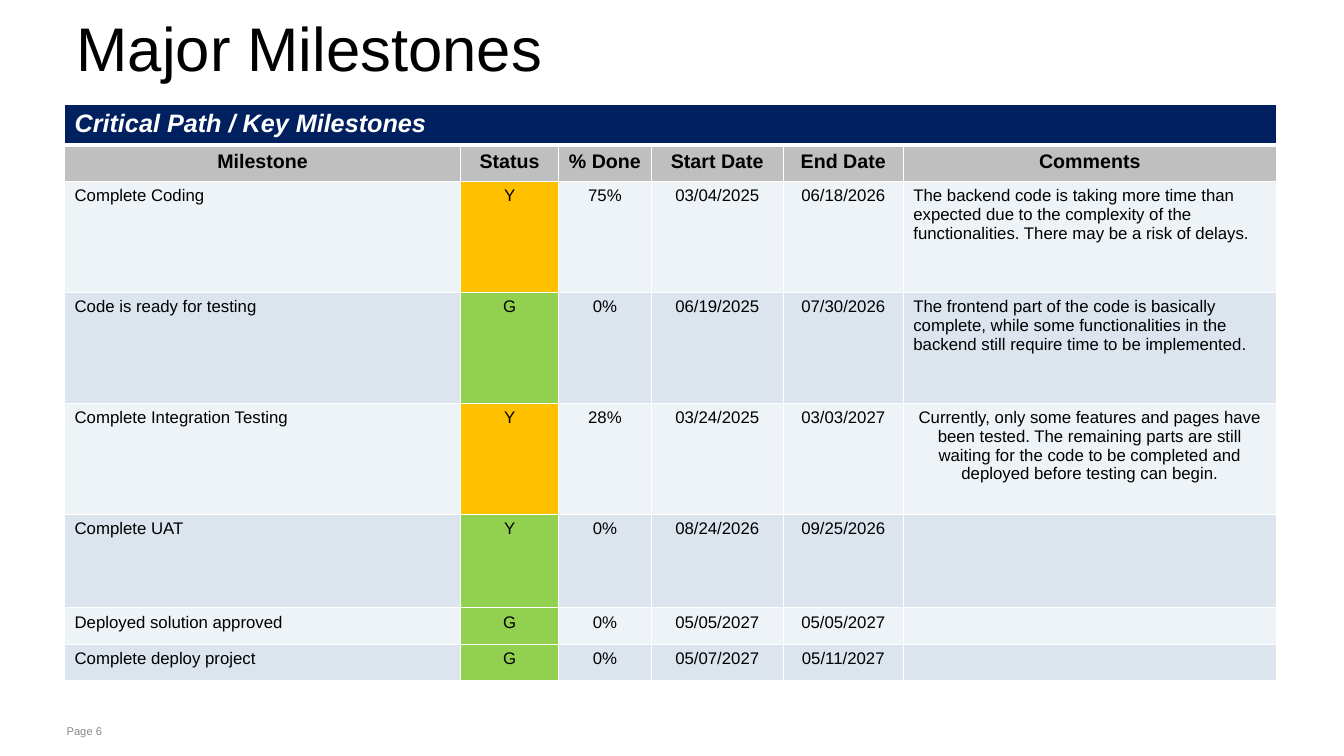
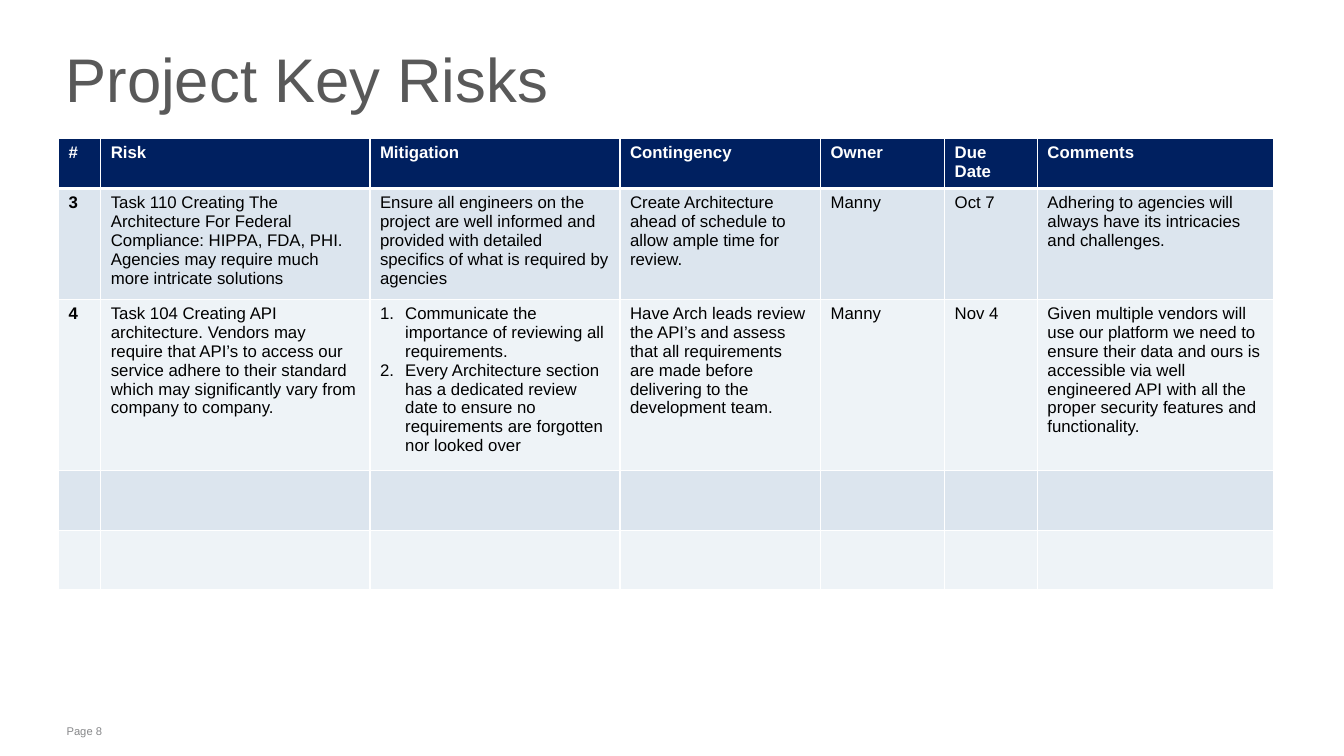
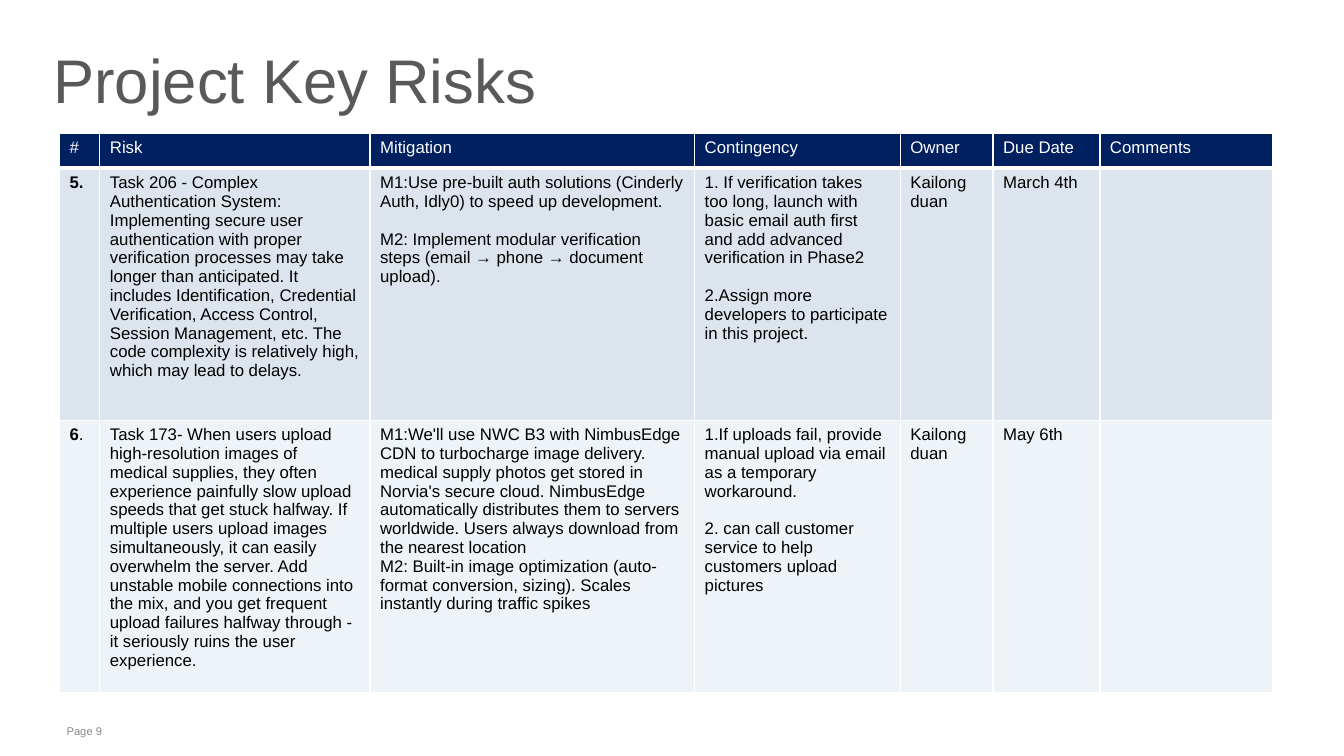
"""Build three project status slides: milestones and two risk registers."""
from collections import namedtuple

from lxml.etree import SubElement
from pptx import Presentation
from pptx.dml.color import RGBColor
from pptx.enum.text import MSO_ANCHOR as Anchor, PP_ALIGN as Align
from pptx.oxml import parse_xml
from pptx.oxml.ns import nsdecls, qn
from pptx.util import Emu, Pt

PX = 9144
FONT = "Arial"
WHITE = RGBColor(0xFF, 0xFF, 0xFF)
BLACK = RGBColor(0x00, 0x00, 0x00)
NAVY = RGBColor(0x00, 0x20, 0x60)
SILVER = RGBColor(0xBF, 0xBF, 0xBF)
GRAY = RGBColor(0x59, 0x59, 0x59)
FOOTER_GRAY = RGBColor(0x87, 0x88, 0x8A)
LIGHT_BAND = RGBColor(0xEE, 0xF3, 0xF7)
DARK_BAND = RGBColor(0xDC, 0xE5, 0xEE)
AMBER = RGBColor(0xFF, 0xC0, 0x00)
GREEN = RGBColor(0x92, 0xD0, 0x50)

Entry = namedtuple("Entry", "paragraphs gap numbered align bold",
                   defaults=(0, False, None, False))


def px(value):
    return Emu(value * PX)


class Deck:
    def __init__(self):
        self.presentation = Presentation()
        self.presentation.slide_width = px(1333)
        self.presentation.slide_height = px(750)
        self.slide = None

    def add_slide(self, page):
        layout = self.presentation.slide_layouts[6]
        self.slide = self.presentation.slides.add_slide(layout)
        self.text_box(f"Page {page}", (58, 714, 1079, 24), 8, FOOTER_GRAY, 5)

    def run(self, paragraph, text, size, color, bold=False, italic=False):
        font_run = paragraph.add_run()
        font_run.text = text
        font = font_run.font
        font.name, font.size = FONT, Pt(size)
        font.bold, font.italic = bold, italic
        font.color.rgb = color

    def text_box(self, text, box, size, color, inset, anchor=Anchor.TOP, spacing=None):
        shape = self.slide.shapes.add_textbox(*map(px, box))
        frame = shape.text_frame
        frame.word_wrap = True
        frame.vertical_anchor = anchor
        frame.margin_left = frame.margin_right = px(8)
        frame.margin_top = frame.margin_bottom = px(inset)
        paragraph = frame.paragraphs[0]
        paragraph.line_spacing = spacing
        self.run(paragraph, text, size, color)

    def title(self, text, box, color, spacing=0.75):
        self.text_box(text, box, 44, color, 0, Anchor.MIDDLE, spacing)

    def table(self, left, top, widths, heights):
        box = (left, top, sum(widths), sum(heights))
        frame = self.slide.shapes.add_table(len(heights), len(widths), *map(px, box))
        table = frame.table
        table.first_row = table.horz_banding = False
        for column, width in zip(table.columns, widths):
            column.width = px(width)
        for row, height in zip(table.rows, heights):
            row.height = px(height)
        return table

    def borders(self, cell, top, bottom):
        properties = cell._tc.get_or_add_tcPr()
        for index, (side, points) in enumerate(zip("LRTB", (1, 1, top, bottom))):
            properties.insert(index, parse_xml(
                f'<a:ln{side} {nsdecls("a")} w="{Pt(points)}"><a:solidFill>'
                f'<a:srgbClr val="{WHITE}"/></a:solidFill></a:ln{side}>'))

    def number(self, paragraph):
        properties = paragraph._p.get_or_add_pPr()
        properties.set("marL", str(px(25)))
        properties.set("indent", str(px(-26)))
        SubElement(properties, qn("a:buFont"), typeface="+mj-lt")
        SubElement(properties, qn("a:buAutoNum"), type="arabicPeriod")

    def fill_cell(self, cell, content, fill, size=12, color=BLACK, bold=False,
                  italic=False, align=Align.LEFT):
        entry = content if isinstance(content, Entry) else Entry([content])
        cell.fill.solid()
        cell.fill.fore_color.rgb = fill
        frame = cell.text_frame
        for index, text in enumerate(entry.paragraphs):
            paragraph = frame.add_paragraph() if index else frame.paragraphs[0]
            paragraph.alignment = entry.align or align
            if index and entry.gap:
                paragraph.space_before = Pt(entry.gap)
            if entry.numbered:
                self.number(paragraph)
            runs = [(text, bold or entry.bold)] if isinstance(text, str) else text
            for words, strong in runs:
                if words:
                    self.run(paragraph, words, size, color, strong, italic)
                else:
                    SubElement(paragraph._p, qn("a:endParaRPr"), sz=str(size * 100))

    def fill_row(self, table, row, contents, fill, aligns=None, **style):
        for column, content in enumerate(contents):
            cell = table.cell(row, column)
            align = aligns[column] if aligns else Align.LEFT
            self.fill_cell(cell, content, fill, align=align, **style)
            self.borders(cell, 3 if row == 1 else 1, 3 if row == 0 else 1)

    def milestone_table(self, heading, headers, milestones):
        table = self.table(64, 104, (393, 97, 92, 131, 119, 370),
                           (39, 36, 110, 110, 110, 93, 36, 36))
        count = len(headers)
        self.fill_row(table, 0, [heading] + [""] * (count - 1), NAVY, size=18,
                      color=WHITE, bold=True, italic=True)
        table.cell(0, 0).merge(table.cell(0, count - 1))
        self.fill_row(table, 1, headers, SILVER, [Align.CENTER] * count,
                      size=14, bold=True)
        aligns = [Align.LEFT] + [Align.CENTER] * 4 + [Align.LEFT]
        for row, (status_color, *contents) in enumerate(milestones, 2):
            band = DARK_BAND if row % 2 else LIGHT_BAND
            self.fill_row(table, row, contents, band, aligns)
            table.cell(row, 1).fill.fore_color.rgb = status_color

    def risk_table(self, left, top, widths, heights, risks, bold_header):
        table = self.table(left, top, widths, heights)
        headers = ("#", "Risk", "Mitigation", "Contingency", "Owner", "Due Date", "Comments")
        self.fill_row(table, 0, headers, NAVY, color=WHITE, bold=bold_header)
        for row, contents in enumerate(risks, 1):
            self.fill_row(table, row, contents, DARK_BAND if row % 2 else LIGHT_BAND)


MILESTONES = (
    (AMBER, "Complete Coding", "Y", "75%", "03/04/2025", "06/18/2026",
     "The backend code is taking more time than expected due to the complexity of the "
     "functionalities. There may be a risk of delays."),
    (GREEN, "Code is ready for testing", "G", "0%", "06/19/2025", "07/30/2026",
     "The frontend part of the code is basically complete, while some functionalities in "
     "the backend still require time to be implemented."),
    (AMBER, "Complete Integration Testing", "Y", "28%", "03/24/2025", "03/03/2027",
     Entry(["Currently, only some features and pages have been tested. The remaining parts "
            "are still waiting for the code to be completed and deployed before testing "
            "can begin."], align=Align.CENTER)),
    (GREEN, "Complete UAT", "Y", "0%", "08/24/2026", "09/25/2026", ""),
    (GREEN, "Deployed solution approved", "G", "0%", "05/05/2027", "05/05/2027", ""),
    (GREEN, "Complete deploy project", "G", "0%", "05/07/2027", "05/11/2027", ""),
)

COMPLIANCE_RISKS = (
    (Entry(["3"], bold=True),
     "Task 110 Creating The Architecture For Federal Compliance: HIPPA, FDA, PHI. "
     "Agencies may require much more intricate solutions",
     "Ensure all engineers on the project are well informed and provided with detailed "
     "specifics of what is required by agencies",
     "Create Architecture ahead of schedule to allow ample time for review.",
     "Manny", "Oct 7",
     "Adhering to agencies will always have its intricacies and challenges."),
    (Entry(["4"], bold=True),
     "Task 104 Creating API architecture. Vendors may require that API’s to access our "
     "service adhere to their standard which may significantly vary from company to company.",
     Entry(["Communicate the importance of reviewing all requirements.",
            "Every Architecture section has a dedicated review date to ensure no "
            "requirements are forgotten nor looked over"], numbered=True),
     "Have Arch leads review the API’s and assess that all requirements are made before "
     "delivering to the development team.",
     "Manny", "Nov 4",
     "Given multiple vendors will use our platform we need to ensure their data and ours "
     "is accessible via well engineered API with all the proper security features and "
     "functionality."),
    [""] * 7,
    [""] * 7,
)

LINE_GAP = 13.5
DELIVERY_RISKS = (
    (Entry(["5."], bold=True),
     "Task 206 - Complex Authentication System: Implementing secure user authentication "
     "with proper verification processes may take longer than anticipated. It includes "
     "Identification, Credential Verification, Access Control, Session Management, etc. "
     "The code complexity is relatively high, which may lead to delays.",
     Entry(["M1:Use pre-built auth solutions (Cinderly Auth, Idly0) to speed up development.",
            "M2: Implement modular verification steps (email → phone → document upload)."],
           gap=LINE_GAP),
     Entry(["1. If verification takes too long, launch with basic email auth first and add "
            "advanced verification in Phase2",
            "2.Assign more developers to participate in this project."], gap=LINE_GAP),
     "Kailong duan", "March 4th", ""),
    (Entry([[("6", True), (".", False)]]),
     "Task 173- When users upload high-resolution images of medical supplies, they often "
     "experience painfully slow upload speeds that get stuck halfway. If multiple users "
     "upload images simultaneously, it can easily overwhelm the server. Add unstable mobile "
     "connections into the mix, and you get frequent upload failures halfway through - it "
     "seriously ruins the user experience.",
     Entry(["M1:We'll use NWC B3 with NimbusEdge CDN to turbocharge image delivery. medical "
            "supply photos get stored in Norvia's secure cloud. NimbusEdge automatically "
            "distributes them to servers worldwide. Users always download from the nearest "
            "location",
            "M2: Built-in image optimization (auto-format conversion, sizing). Scales "
            "instantly during traffic spikes"]),
     Entry(["1.If uploads fail, provide manual upload via email as a temporary workaround.",
            "2. can call customer service to help customers upload pictures"], gap=LINE_GAP),
     "Kailong duan", "May 6th", ""),
)


def main():
    deck = Deck()
    deck.add_slide(6)
    deck.title("Major Milestones", (68, 17, 1176, 75), BLACK)
    deck.milestone_table(
        "Critical Path / Key Milestones",
        ("Milestone", "Status", "% Done", "Start Date", "End Date", "Comments"), MILESTONES)

    deck.add_slide(8)
    deck.title("Project Key Risks", (57, 26, 1093, 119), GRAY)
    deck.risk_table(58, 137, (42, 267, 248, 199, 123, 92, 234),
                    (47, 103, 159, 59, 59), COMPLIANCE_RISKS, True)

    deck.add_slide(9)
    deck.title("Project Key Risks", (45, 38, 1168, 80), GRAY, 1.0)
    deck.risk_table(59, 132, (40, 268, 322, 204, 92, 106, 171),
                    (35, 250, 270), DELIVERY_RISKS, False)
    deck.presentation.save("out.pptx")


if __name__ == "__main__":
    main()
